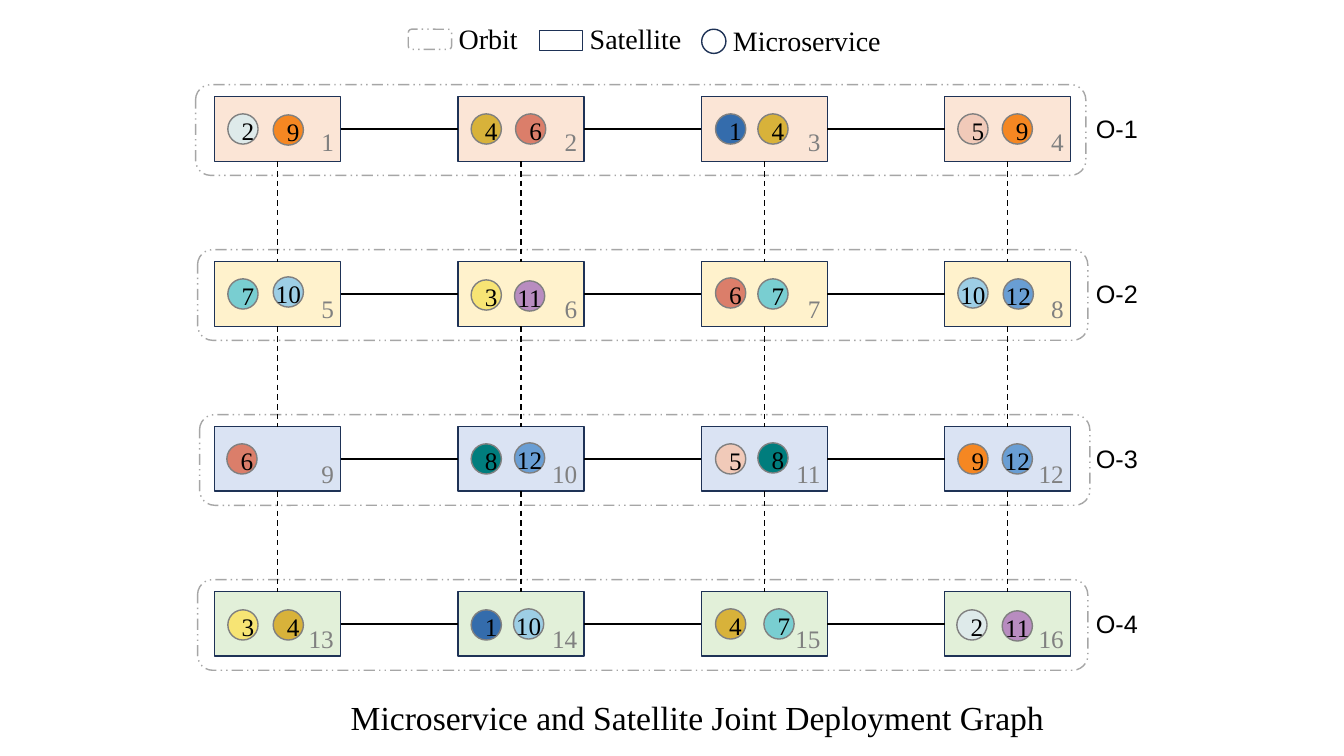
from lxml import etree
from pptx import Presentation
from pptx.dml.color import RGBColor
from pptx.enum.dml import MSO_LINE
from pptx.enum.shapes import MSO_CONNECTOR, MSO_SHAPE
from pptx.enum.text import MSO_ANCHOR, PP_ALIGN
from pptx.oxml.ns import qn
from pptx.util import Inches, Pt

RECT, ROUND, OVAL = MSO_SHAPE.RECTANGLE, MSO_SHAPE.ROUNDED_RECTANGLE, MSO_SHAPE.OVAL
STRAIGHT = MSO_CONNECTOR.STRAIGHT
DASH, DOTS = MSO_LINE.DASH, MSO_LINE.DASH_DOT_DOT
LEFT, CENTER, RIGHT = PP_ALIGN.LEFT, PP_ALIGN.CENTER, PP_ALIGN.RIGHT
TOP, MIDDLE = MSO_ANCHOR.TOP, MSO_ANCHOR.MIDDLE
SIDE_TOP, SIDE_LEFT, SIDE_BOTTOM, SIDE_RIGHT = range(4)
SERIF, SANS = "Times New Roman", "Arial"

BLACK = RGBColor(0x00, 0x00, 0x00)
GRAY = RGBColor(0x80, 0x80, 0x80)
SILVER = RGBColor(0xA6, 0xA6, 0xA6)
NAVY = RGBColor(0x1E, 0x32, 0x56)
ORBIT_FILLS = (
    RGBColor(0xFB, 0xE5, 0xD6), RGBColor(0xFF, 0xF2, 0xCC),
    RGBColor(0xDA, 0xE3, 0xF3), RGBColor(0xE2, 0xF0, 0xD9),
)
SERVICE_FILLS = {
    1: RGBColor(0x34, 0x6C, 0xAC), 2: RGBColor(0xDE, 0xEA, 0xEA),
    3: RGBColor(0xF7, 0xE4, 0x74), 4: RGBColor(0xD8, 0xB2, 0x3A),
    5: RGBColor(0xF1, 0xCA, 0xB9), 6: RGBColor(0xDB, 0x7E, 0x6A),
    7: RGBColor(0x79, 0xCE, 0xD1), 8: RGBColor(0x00, 0x7D, 0x7D),
    9: RGBColor(0xF5, 0x87, 0x22), 10: RGBColor(0x9D, 0xCE, 0xE5),
    11: RGBColor(0xB8, 0x8C, 0xC0), 12: RGBColor(0x69, 0x9E, 0xD4),
}

# Each orbit holds four satellites; each service is (number, dx, dy) in its satellite.
ORBITS = (
    (((2, .13, .17), (9, .58, .18)), ((4, .13, .17), (6, .57, .17)),
     ((1, .14, .17), (4, .56, .17)), ((5, .13, .17), (9, .57, .17))),
    (((7, .13, .17), (10, .58, .15)), ((3, .13, .18), (11, .56, .19)),
     ((6, .14, .16), (7, .56, .17)), ((10, .13, .16), (12, .58, .17))),
    (((6, .12, .17),), ((8, .13, .17), (12, .56, .16)),
     ((5, .14, .17), (8, .56, .16)), ((9, .13, .17), (12, .57, .17))),
    (((3, .13, .18), (4, .58, .18)), ((1, .13, .18), (10, .55, .17)),
     ((4, .14, .17), (7, .62, .17)), ((2, .12, .18), (11, .57, .19))),
)
ORBIT_LEFTS = (1.94, 1.96, 1.98, 1.96)
SAT_X, SAT_Y, SAT_W, SAT_H = 2.13, 0.96, 1.25, 0.64
COL_STEP, ROW_STEP = 7.24 / 3, 4.91 / 3


def box(x, y, w, h):
    return Inches(x), Inches(y), Inches(w), Inches(h)


def write(frame, text, size=18, font=SERIF, color=BLACK, align=LEFT, anchor=TOP):
    frame.word_wrap = False
    frame.vertical_anchor = anchor
    para = frame.paragraphs[0]
    para.alignment = align
    run = para.add_run()
    run.text = text
    run.font.size = Pt(size)
    run.font.name = font
    run.font.color.rgb = color


def label(slide, area, text, **style):
    write(slide.shapes.add_textbox(*box(*area)).text_frame, text, **style)


def draw(slide, kind, area, line, fill=None, dash=None):
    shape = slide.shapes.add_shape(kind, *box(*area))
    shape.shadow.inherit = False
    if fill is None:
        shape.fill.background()
    else:
        shape.fill.solid()
        shape.fill.fore_color.rgb = fill
    shape.line.color.rgb = line
    shape.line.width = Pt(1)
    if dash is not None:
        shape.line.dash_style = dash
    return shape


def link(slide, start, out, end, into, dash=None):
    """Join one side of a satellite to a side of the next."""
    wire = slide.shapes.add_connector(STRAIGHT, 0, 0, 0, 0)
    wire.begin_connect(start, out)
    wire.end_connect(end, into)
    wire.line.color.rgb = BLACK
    wire.line.width = Pt(1)
    if dash is not None:
        wire.line.dash_style = dash
    etree.SubElement(wire._element.spPr, qn("a:effectLst"))


def service(slide, x, y, number):
    disc = draw(slide, OVAL, (x, y, 0.3, 0.3), GRAY, SERVICE_FILLS[number])
    frame = disc.text_frame
    frame.margin_left = Inches(0.1 if number < 10 else 0)
    frame.margin_top = Inches(0.03)
    frame.margin_right = frame.margin_bottom = 0
    write(frame, str(number), align=CENTER, anchor=MIDDLE)


def satellite(slide, x, y, number, fill, services):
    body = draw(slide, RECT, (x, y, SAT_W, SAT_H), NAVY, fill)
    width = 0.34 if number < 10 else 0.45
    drop = 0.24 if number < 5 else 0.26
    label(slide, (x + SAT_W + 0.03 - width, y + drop, width, 0.4), str(number),
          color=GRAY, align=RIGHT)
    for name, dx, dy in services:
        service(slide, x + dx, y + dy, name)
    return body


def orbit(slide, row, y):
    """Draw one orbit with its satellites and return them."""
    count = len(ORBITS[row])
    bodies = [
        satellite(slide, SAT_X + col * COL_STEP, y, row * count + col + 1,
                  ORBIT_FILLS[row], services)
        for col, services in enumerate(ORBITS[row])
    ]
    for near, far in zip(bodies, bodies[1:]):
        link(slide, near, SIDE_RIGHT, far, SIDE_LEFT)
    draw(slide, ROUND, (ORBIT_LEFTS[row], y - 0.12, 8.83, 0.9), SILVER, dash=DOTS)
    label(slide, (10.77, y + 0.12, 0.62, 0.4), f"O-{row + 1}", font=SANS)
    return bodies


def graph(slide):
    grid = [orbit(slide, row, SAT_Y + row * ROW_STEP) for row in range(len(ORBITS))]
    for upper, lower in zip(grid, grid[1:]):
        for near, far in zip(upper, lower):
            link(slide, near, SIDE_BOTTOM, far, SIDE_TOP, dash=DASH)


def legend(slide, x, y):
    draw(slide, ROUND, (x, y, 0.43, 0.2), SILVER, dash=DOTS)
    label(slide, (x + 0.4, y - 0.13, 0.79, 0.44), "Orbit", size=20)
    draw(slide, RECT, (x + 1.3, y + 0.01, 0.43, 0.2), NAVY)
    label(slide, (x + 1.7, y - 0.13, 1.12, 0.44), "Satellite", size=20)
    draw(slide, OVAL, (x + 2.91, y, 0.24, 0.24), NAVY)
    label(slide, (x + 3.12, y - 0.11, 1.68, 0.44), "Microservice", size=20)


def main():
    deck = Presentation()
    deck.slide_width, deck.slide_height = Inches(13.33), Inches(7.5)
    slide = deck.slides.add_slide(deck.slide_layouts[6])
    graph(slide)
    legend(slide, 4.05, 0.29)
    label(slide, (3.38, 6.86, 7.14, 0.5),
          "Microservice and Satellite Joint Deployment Graph", size=24)
    deck.save("out.pptx")


if __name__ == "__main__":
    main()
